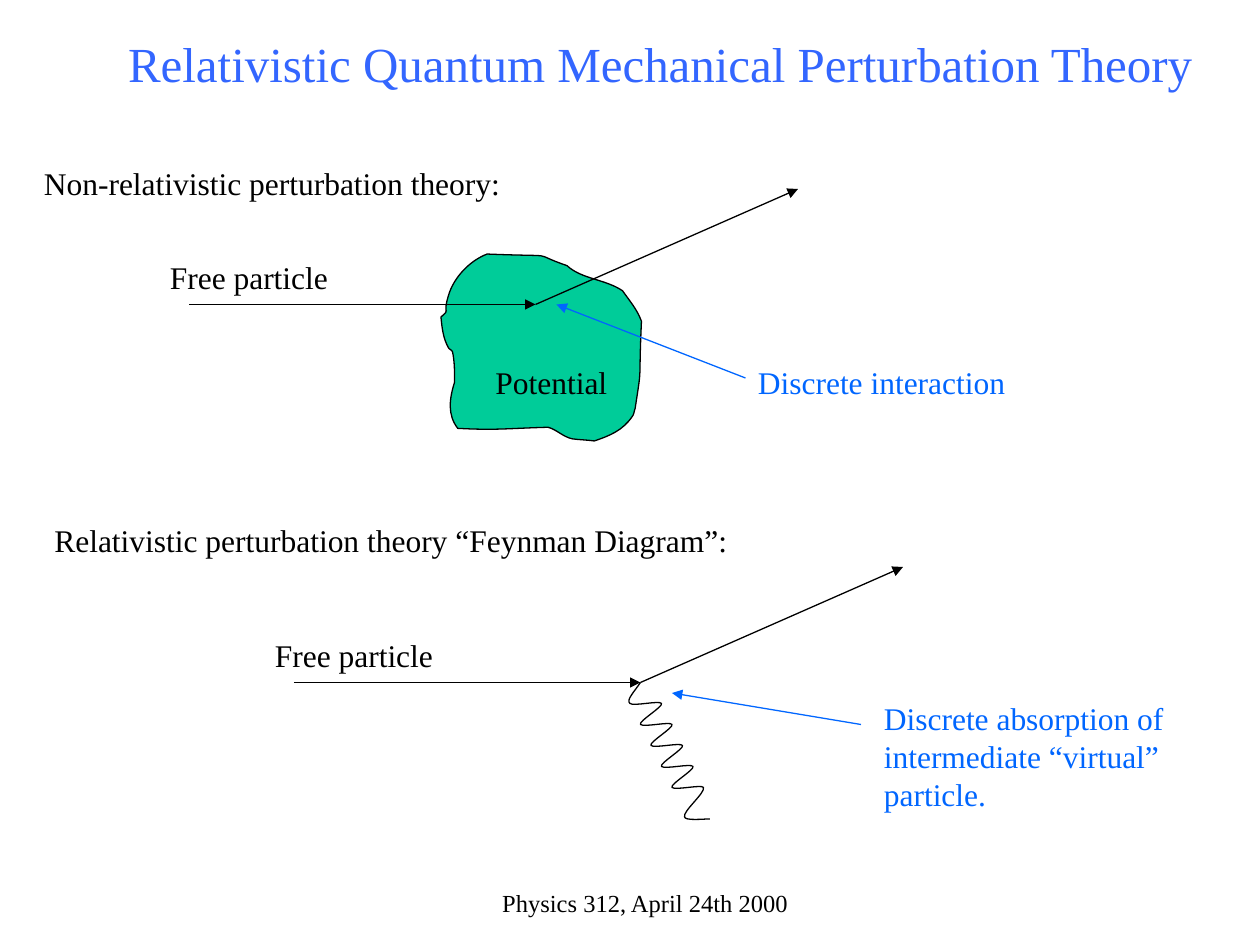
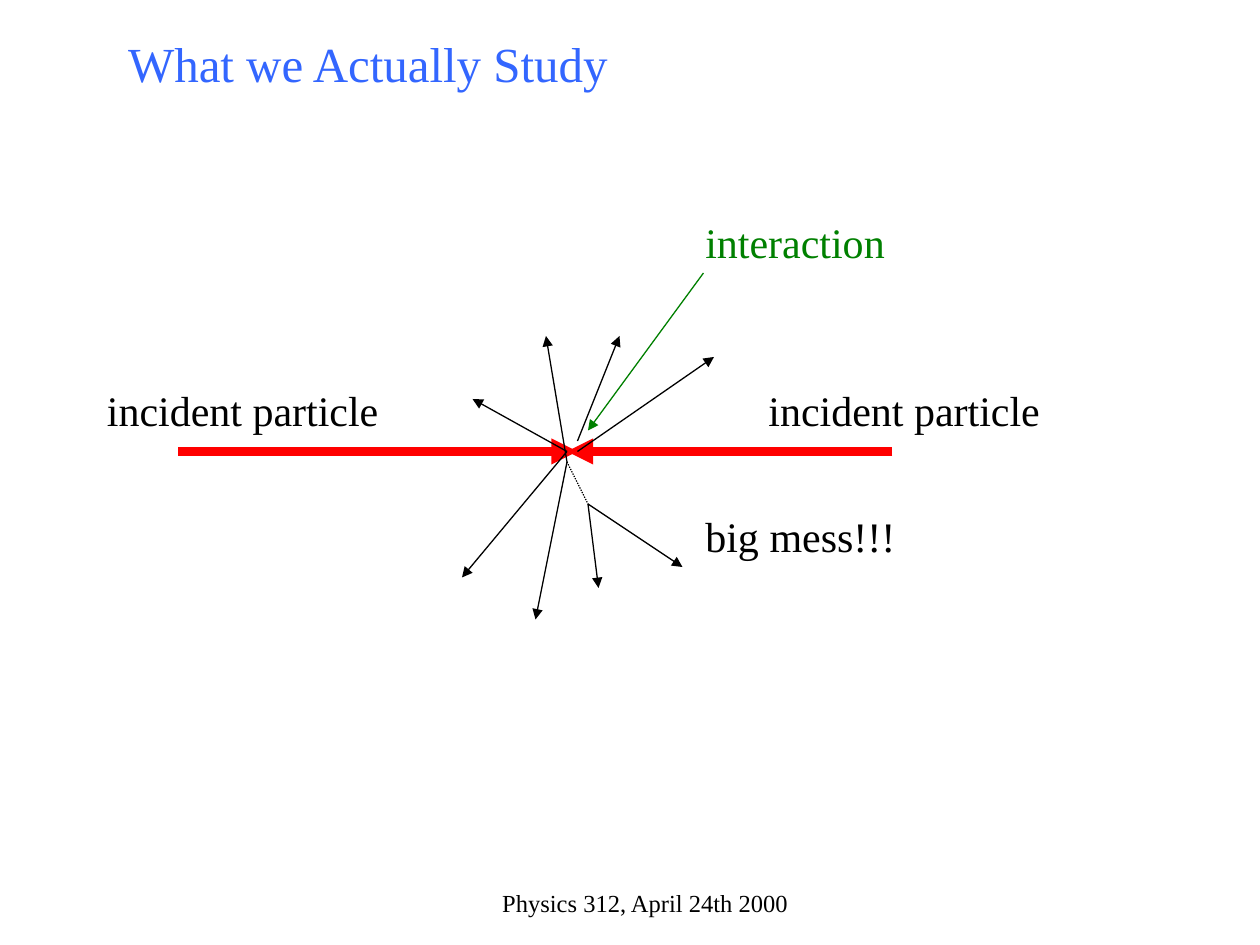
from itertools import chain
from lxml.etree import SubElement
from pptx import Presentation
from pptx.dml.color import RGBColor
from pptx.enum.dml import MSO_LINE
from pptx.enum.shapes import MSO_CONNECTOR
from pptx.enum.text import MSO_ANCHOR, MSO_AUTO_SIZE, PP_ALIGN
from pptx.oxml.ns import qn
from pptx.util import Inches, Pt

# Positions are counted on a grid of 120 columns by 90 rows.
COLUMNS, ROWS = 120, 90
CELL = Inches(10) // COLUMNS

FONT = "Times New Roman"
BLACK, BLUE, GREEN, RED = "000000", "0066FF", "008000", "FF0000"
TITLE_BLUE, POTENTIAL_GREEN = "3366FF", "00CC99"
THIN, THICK = 0.75, 5

# Each curve is (first control, second control, end).
POTENTIAL_START = (42, 30.2)
POTENTIAL_CURVES = [
    ((43, 29.3), (42.1, 30.2), (42.7, 28.2)),
    ((43.2, 26.4), (44.8, 24.8), (46.4, 24.2)),
    ((53.8, 24.5), (50.2, 24), (54, 25.3)),
    ((55.4, 26.6), (57.7, 26.6), (59.3, 27.7)),
    ((60, 28.7), (60.7, 29.5), (61.1, 30.6)),
    ((60.8, 37.1), (61.2, 34.3), (60.5, 38.9)),
    ((60.4, 39.1), (60.4, 39.5), (60.2, 39.7)),
    ((59.3, 41), (58.1, 41.5), (56.6, 42)),
    ((55.9, 41.9), (55.2, 41.9), (54.5, 41.8)),
    ((53.6, 41.6), (53, 40.9), (52.2, 40.7)),
    ((48.4, 40.8), (47.3, 41), (43.6, 40.8)),
    ((42.6, 39.5), (42.8, 38), (43.3, 36.4)),
    ((43.3, 35.4), (43.3, 34.4), (43.1, 33.5)),
    ((43.1, 33.4), (42.7, 33.2), (42.7, 33.1)),
    ((42.2, 32.2), (42.1, 31.2), (42, 30.2)),
]


def rgb(color):
    return RGBColor.from_string(color)


def grid(count):
    return round(count * CELL)


def place(shape, column, row, width, height):
    shape.left, shape.top = grid(column), grid(row)
    shape.width, shape.height = grid(width), grid(height)


def write(shape, text, size, color, align=PP_ALIGN.LEFT):
    frame = shape.text_frame
    frame.text = text
    frame.word_wrap = True
    frame.auto_size = MSO_AUTO_SIZE.NONE
    paragraph = frame.paragraphs[0]
    paragraph.alignment = align
    font = paragraph.runs[0].font
    font.name, font.size = FONT, Pt(size)
    font.color.rgb = rgb(color)


def add_label(slide, text, column, row, width, size, color=BLACK,
              height=4.8, align=PP_ALIGN.LEFT):
    label = slide.shapes.add_textbox(grid(column), grid(row), grid(width), grid(height))
    write(label, text, size, color, align)
    return label


def add_ray(slide, start, end, color=BLACK, weight=THIN, arrow=True, dash=None):
    ray = slide.shapes.add_connector(
        MSO_CONNECTOR.STRAIGHT, *map(grid, (*start, *end)))
    ray.line.color.rgb = rgb(color)
    ray.line.width = Pt(weight)
    if dash:
        ray.line.dash_style = dash
    properties = ray.element.spPr
    if arrow:
        SubElement(properties.find(qn("a:ln")), qn("a:tailEnd"), type="triangle")
    SubElement(properties, qn("a:effectLst"))


def bend_segments(outline):
    """Turn each three straight segments into one cubic curve."""
    segments = list(outline.element.iter(qn("a:lnTo")))
    for first, second, end in zip(*[iter(segments)] * 3):
        first.tag = qn("a:cubicBezTo")
        for segment in (second, end):
            first.append(segment[0])
            segment.getparent().remove(segment)


def add_curve(slide, start, curves, fill=None):
    """Draw a smooth outline; it is closed when it has a fill."""
    builder = slide.shapes.build_freeform(*map(grid, start))
    points = [tuple(map(grid, point)) for point in chain.from_iterable(curves)]
    builder.add_line_segments(points, close=bool(fill))
    outline = builder.convert_to_shape()
    bend_segments(outline)
    outline.shadow.inherit = False
    outline.line.color.rgb = rgb(BLACK)
    outline.line.width = Pt(THIN)
    if fill:
        outline.fill.solid()
        outline.fill.fore_color.rgb = rgb(fill)
    else:
        outline.fill.background()


def shift(point, dx, dy):
    return point[0] + dx, point[1] + dy


def add_virtual_particle(slide, vertex, turns=5):
    """Coil that leaves the vertex downwards, two rows a turn."""
    left = shift(vertex, -1, 2)
    curves = [(shift(vertex, -0.6, 0.9), shift(left, -0.4, -0.3), left)]
    for turn in range(turns):
        right = shift(left, 3, 0)
        curves.append((shift(left, 0.3, 0.3), shift(right, -0.2, -0.3), right))
        if turn < turns - 1:
            left = shift(right, -2, 2)
            curves.append((shift(right, 0.2, 0.3), shift(left, -0.2, -0.3), left))
    bottom = shift(right, -1.8, 2.8)
    tip = shift(bottom, 2.4, 0.2)
    curves.append((shift(right, 0.2, 0.5), shift(bottom, -0.2, -0.5), bottom))
    curves.append((shift(bottom, 0, 0.4), shift(tip, -0.5, 0), tip))
    add_curve(slide, vertex, curves)


def add_scattered_particle(slide, vertex):
    add_ray(slide, shift(vertex, -33, 0), vertex)
    add_ray(slide, vertex, shift(vertex, 25, -11))
    add_label(slide, "Free particle", *shift(vertex, -36, -5), 25, 18)


def add_slide(deck, title):
    slide = deck.slides.add_slide(deck.slide_layouts.get_by_name("Title Only"))
    heading = slide.shapes.title
    place(heading, 11, 2, 107, 8)
    write(heading, title, 28, TITLE_BLUE)
    heading.text_frame.vertical_anchor = MSO_ANCHOR.MIDDLE
    return slide


def add_footer(slide):
    footer = add_label(slide, "Physics 312, April 24th 2000", 41, 84, 38, 14,
                       height=4, align=PP_ALIGN.CENTER)
    footer.text_frame.margin_left = Inches(0.34)


def add_perturbation_slide(deck):
    slide = add_slide(deck, "Relativistic Quantum Mechanical Perturbation Theory")
    add_curve(slide, POTENTIAL_START, POTENTIAL_CURVES, POTENTIAL_GREEN)
    add_label(slide, "Non-relativistic perturbation theory:", 3, 15, 51, 18)
    add_scattered_particle(slide, (51, 29))
    add_label(slide, "Potential", 46, 34, 17, 18)
    add_label(slide, "Discrete interaction", 71, 34, 33, 18, BLUE)
    add_ray(slide, (71, 36), (53, 29), BLUE)

    add_label(slide, "Relativistic perturbation theory “Feynman Diagram”:", 4, 49, 73, 18)
    vertex = (61, 65)
    add_scattered_particle(slide, vertex)
    add_label(slide, "Discrete absorption of intermediate “virtual” particle.",
              83, 66, 33, 18, BLUE, height=12)
    add_ray(slide, (82, 69), (64, 66), BLUE)
    add_virtual_particle(slide, vertex)
    add_footer(slide)


def add_collision_slide(deck):
    slide = add_slide(deck, "What we Actually Study")
    for source, target, label_column in ((17, 55, 9), (85, 54, 72)):
        add_ray(slide, (source, 43), (target, 43), RED, THICK)
        add_label(slide, "incident particle", label_column, 36, 32, 24, height=6)

    decay = (56, 48)
    fragments = [
        ((55, 43), (68, 34)), ((55, 42), (59, 32)), ((54, 44), (52, 32)),
        ((54, 43), (45, 38)), ((54, 43), (44, 55)), ((54, 44), (51, 59)),
        (decay, (65, 54)), (decay, (57, 56)),
    ]
    for start, end in fragments:
        add_ray(slide, start, end)
    add_ray(slide, (54, 44), decay, arrow=False, dash=MSO_LINE.ROUND_DOT)

    add_label(slide, "big mess!!!", 66, 48, 24, 24, height=6)
    add_label(slide, "interaction", 66, 20, 30, 24, GREEN, height=6)
    add_ray(slide, (67, 26), (56, 41), GREEN)
    add_footer(slide)


def main():
    deck = Presentation()
    deck.slide_width, deck.slide_height = grid(COLUMNS), grid(ROWS)
    add_perturbation_slide(deck)
    add_collision_slide(deck)
    deck.save("out.pptx")


if __name__ == "__main__":
    main()
